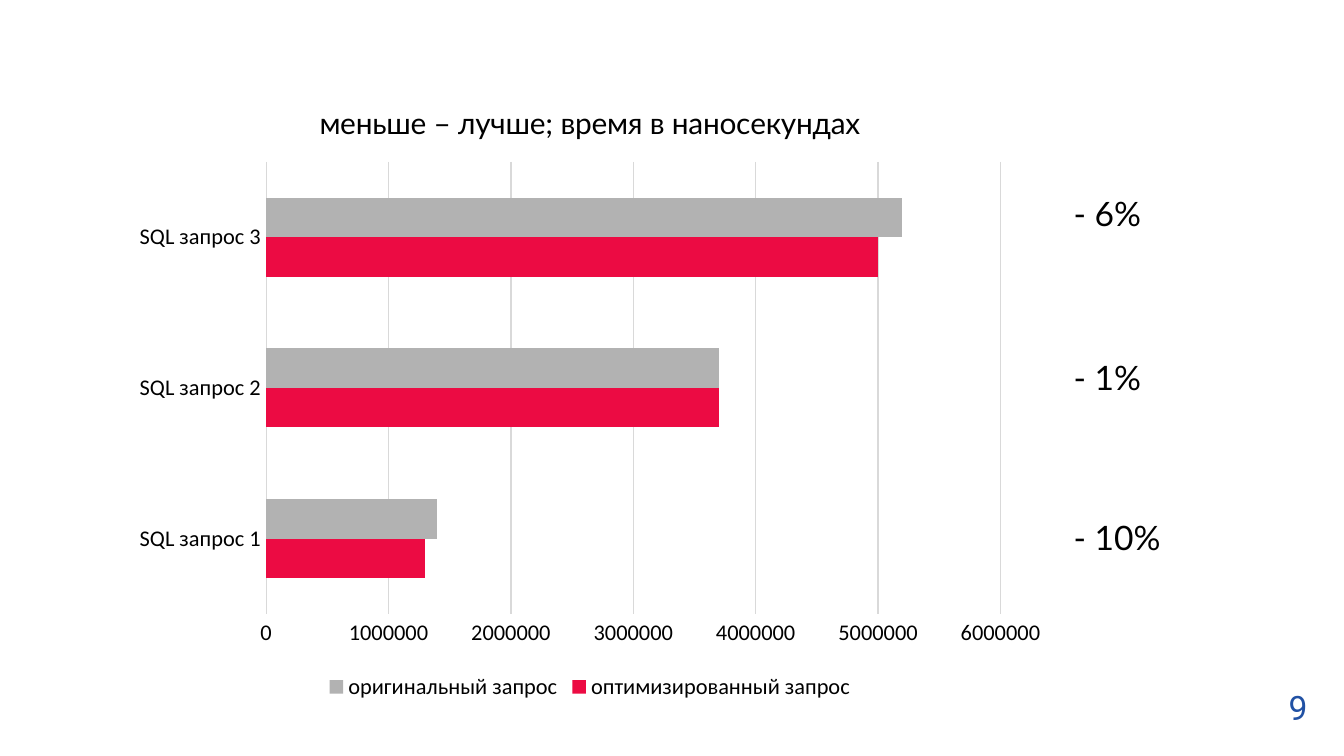
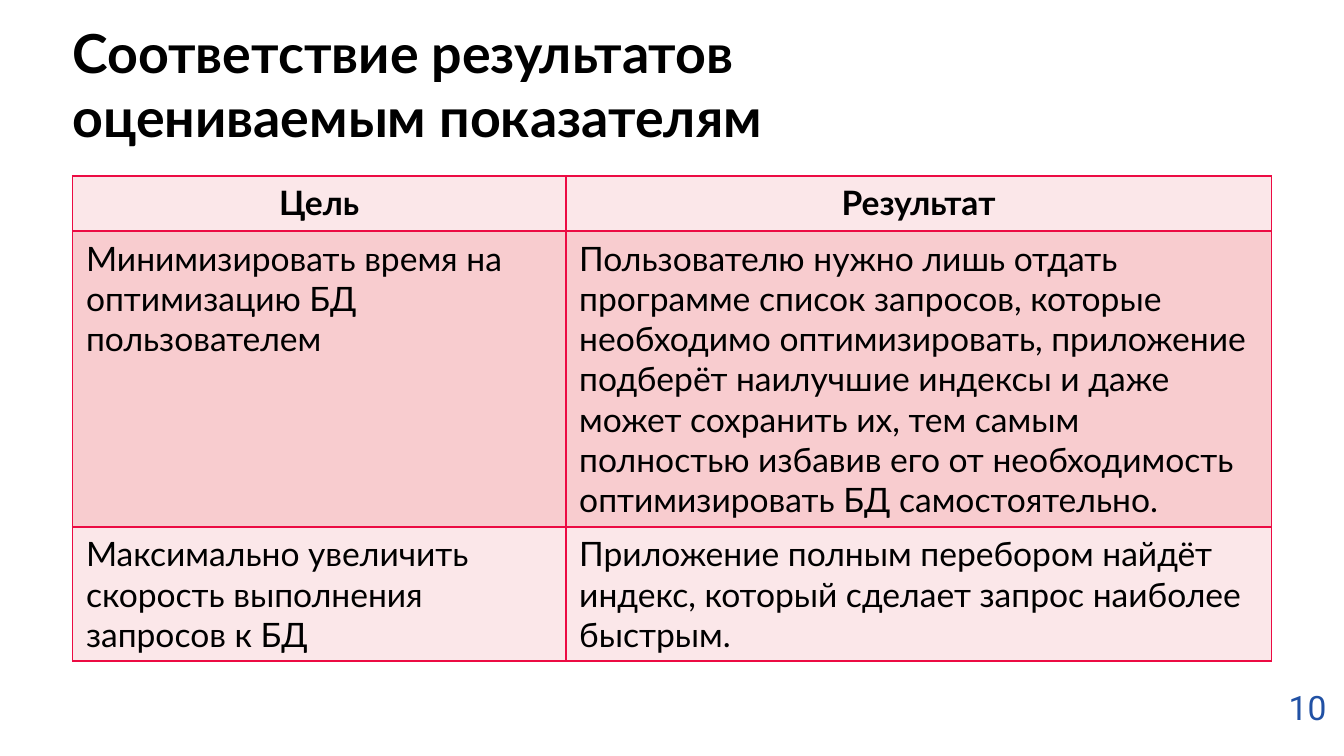
import pptx
import pptx.chart.data
import pptx.dml.color
import pptx.enum.chart
import pptx.enum.text
import pptx.oxml
import pptx.oxml.ns
import pptx.util
from pptx.util import Inches, Pt

COLORS = {
    "text": "000000", "accent": "EC0B43", "baseline": "B2B2B2", "grid": "D9D9D9",
    "number": "2151A4", "row_light": "FBE7E9", "row_dark": "F8CCCF",
}
CHART_TITLE = "меньше – лучше; время в наносекундах"
QUERIES = ["SQL запрос 1", "SQL запрос 2", "SQL запрос 3"]
TIMINGS = [
    ("оптимизированный запрос", (1300000, 3700000, 5000000), "accent"),
    ("оригинальный запрос", (1400000, 3700000, 5200000), "baseline"),
]
SAVINGS = [("- 10%", 3.8), ("- 1%", 2.61), ("- 6%", 1.39)]

RESULTS_TITLE = "Соответствие результатов оцениваемым показателям"
RESULTS = [
    ("Цель", "Результат"),
    ("Минимизировать время на оптимизацию БД пользователем",
     "Пользователю нужно лишь отдать программе список запросов, которые необходимо "
     "оптимизировать, приложение подберёт наилучшие индексы и даже может сохранить их, "
     "тем самым полностью избавив его от необходимость оптимизировать БД самостоятельно."),
    ("Максимально увеличить скорость выполнения запросов к БД",
     "Приложение полным перебором найдёт индекс, который сделает запрос наиболее быстрым."),
]
COLUMN_WIDTHS = [3.67, 5.25]
ROW_HEIGHTS = [0.41, 2.2, 1.0]


def color(name):
    return pptx.dml.color.RGBColor.from_string(COLORS[name])


def style_font(font, size, family="Lato", tone="text", bold=False):
    font.size = Pt(size)
    font.name = family
    font.bold = bold
    font.color.rgb = color(tone)


def write(frame, text, size=18, align=None, **style):
    para = frame.paragraphs[0]
    para.alignment = align
    span = para.add_run()
    span.text = text
    style_font(span.font, size, **style)


def add_text(page, text, left, top, width, height=0.4, anchor="TOP", **style):
    box = page.shapes.add_textbox(Inches(left), Inches(top), Inches(width), Inches(height))
    frame = box.text_frame
    frame.word_wrap = True
    frame.vertical_anchor = pptx.enum.text.MSO_ANCHOR[anchor]
    write(frame, text, **style)


def add_page(deck, number, number_width):
    page = deck.slides.add_slide(deck.slide_layouts[6])
    add_text(page, str(number), 9.49, 5.06, number_width, family="Roboto", tone="number")
    return page


def style_axis(axis):
    axis.major_tick_mark = axis.minor_tick_mark = pptx.enum.chart.XL_TICK_MARK.NONE
    style_font(axis.tick_labels.font, 12, family="Calibri")


def style_line(line):
    line.color.rgb = color("grid")
    line.width = Pt(0.75)


def add_timing_chart(page):
    data = pptx.chart.data.CategoryChartData()
    data.categories = QUERIES
    for name, values, tone in TIMINGS:
        data.add_series(name, values)
    chart = page.shapes.add_chart(
        pptx.enum.chart.XL_CHART_TYPE.BAR_CLUSTERED,
        Inches(0.9), Inches(0.57), Inches(6.98), Inches(4.68), data).chart
    style_font(chart.font, 10, family="Calibri")
    write(chart.chart_title.text_frame, CHART_TITLE, size=16)
    chart.chart_title.include_in_layout = False

    chart.has_legend = True
    chart.legend.position = pptx.enum.chart.XL_LEGEND_POSITION.BOTTOM
    chart.legend.include_in_layout = False
    style_font(chart.legend.font, 12, family="Calibri")

    style_axis(chart.category_axis)
    style_line(chart.category_axis.format.line)
    style_axis(chart.value_axis)
    chart.value_axis.format.line.fill.background()
    style_line(chart.value_axis.major_gridlines.format.line)

    plot = chart.plots[0]
    plot.gap_width = 182
    plot.overlap = 0
    plot.vary_by_categories = False
    for series, (name, values, tone) in zip(plot.series, TIMINGS):
        series.format.fill.solid()
        series.format.fill.fore_color.rgb = color(tone)


def add_borders(cell):
    properties = cell._tc.get_or_add_tcPr()
    for position, side in enumerate(("lnL", "lnR", "lnT", "lnB")):
        properties.insert(position, pptx.oxml.parse_xml(
            f'<a:{side} {pptx.oxml.ns.nsdecls("a")} w="{Pt(1)}"><a:solidFill>'
            f'<a:srgbClr val="{COLORS["accent"]}"/></a:solidFill></a:{side}>'))


def add_results_table(page):
    table = page.shapes.add_table(
        len(RESULTS), len(COLUMN_WIDTHS), Inches(0.54), Inches(1.31),
        Inches(sum(COLUMN_WIDTHS)), Inches(sum(ROW_HEIGHTS))).table
    for column, width in zip(table.columns, COLUMN_WIDTHS):
        column.width = Inches(width)
    for index, (texts, height) in enumerate(zip(RESULTS, ROW_HEIGHTS)):
        table.rows[index].height = Inches(height)
        header = index == 0
        align = pptx.enum.text.PP_ALIGN.CENTER if header else None
        for cell, text in zip(table.rows[index].cells, texts):
            write(cell.text_frame, text, align=align, bold=header)
            cell.fill.solid()
            cell.fill.fore_color.rgb = color("row_dark" if index % 2 else "row_light")
            add_borders(cell)


def main():
    deck = pptx.Presentation()
    deck.slide_width = Inches(10)
    deck.slide_height = deck.slide_width * 9 // 16

    page = add_page(deck, 9, 0.36)
    add_timing_chart(page)
    for saving, top in SAVINGS:
        add_text(page, saving, 7.89, top, 0.87)

    page = add_page(deck, 10, 0.51)
    add_text(page, RESULTS_TITLE, 0.44, 0.16, 6.52, 0.93, anchor="MIDDLE", size=28.8, bold=True)
    add_results_table(page)

    deck.save("out.pptx")


if __name__ == "__main__":
    main()
